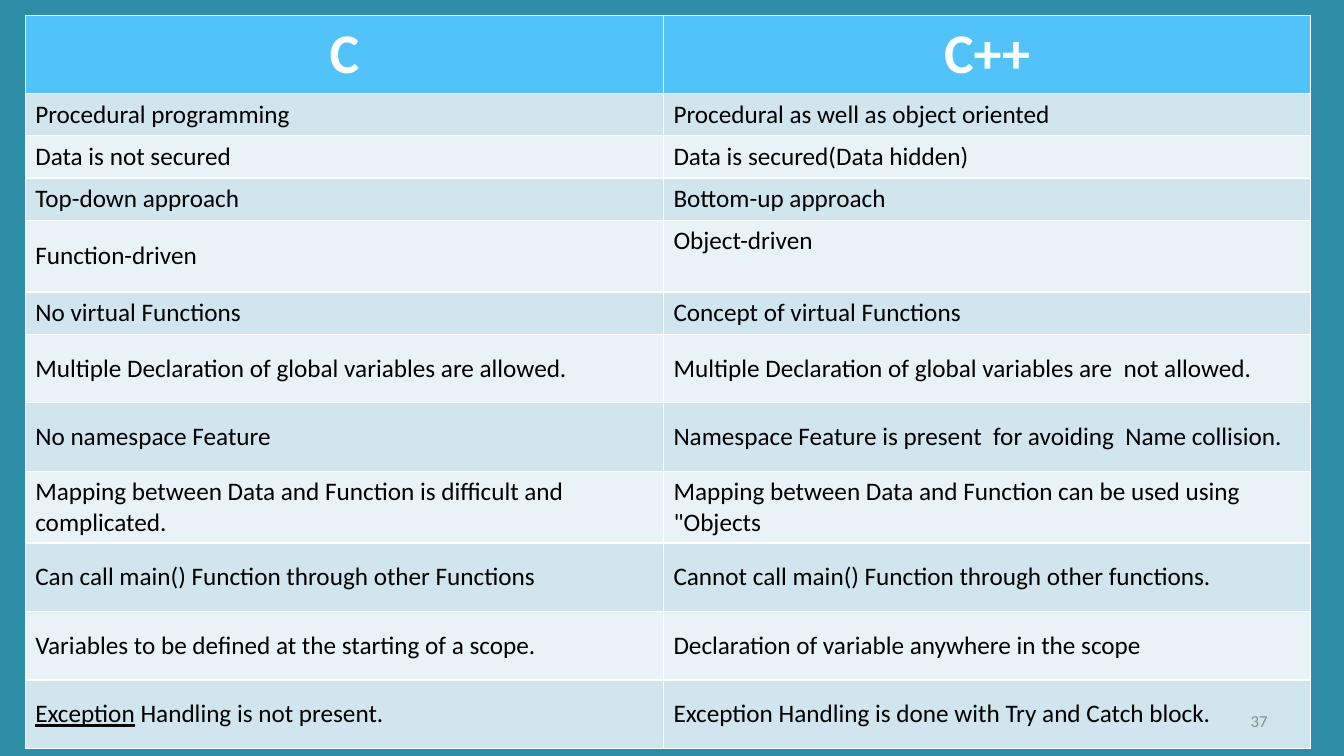
from pptx import Presentation
from pptx.dml.color import RGBColor
from pptx.enum.text import MSO_ANCHOR, PP_ALIGN
from pptx.util import Inches, Pt

CENTER, LEFT, RIGHT = PP_ALIGN.CENTER, PP_ALIGN.LEFT, PP_ALIGN.RIGHT
TOP, MIDDLE = MSO_ANCHOR.TOP, MSO_ANCHOR.MIDDLE

TEAL = RGBColor(0x2E, 0x8E, 0xA8)
SKY = RGBColor(0x51, 0xC3, 0xF9)
BAND_DARK = RGBColor(0xD0, 0xE5, 0xED)
BAND_LIGHT = RGBColor(0xE9, 0xF2, 0xF6)
WHITE = RGBColor(0xFF, 0xFF, 0xFF)
BLACK = RGBColor(0, 0, 0)
GRAY = RGBColor(0x8C, 0x8C, 0x8C)

HEADER_FONT = {"name": "Calibri", "size": Pt(40), "bold": True}
BODY_FONT = {"name": "Calibri", "size": Pt(18), "bold": False}
NUMBER_FONT = {"name": "Calibri", "size": Pt(12)}

HEADER, SHORT, TALL, TWO_LINE = 0.76, 0.42, 0.68, 0.71
COLUMN_WIDTHS = (6.33, 6.42)
UNDERLINED = "Exception"

LANGUAGES = ("C", "C++")
DIFFERENCES = [
    (SHORT, "Procedural programming", "Procedural as well as object oriented"),
    (SHORT, "Data is not secured", "Data is secured(Data hidden)"),
    (SHORT, "Top-down approach", "Bottom-up approach"),
    (TWO_LINE, "Function-driven", "Object-driven"),
    (SHORT, "No virtual Functions", "Concept of virtual Functions"),
    (TALL, "Multiple Declaration of global variables are allowed.",
     "Multiple Declaration of global variables are  not allowed."),
    (TALL, "No namespace Feature",
     "Namespace Feature is present  for avoiding  Name collision."),
    (TWO_LINE, "Mapping between Data and Function is difficult and complicated.",
     'Mapping between Data and Function can be used using "Objects'),
    (TALL, "Can call main() Function through other Functions",
     "Cannot call main() Function through other functions."),
    (TALL, "Variables to be defined at the starting of a scope.",
     "Declaration of variable anywhere in the scope"),
    (TALL, "Exception Handling is not present.",
     "Exception Handling is done with Try and Catch block."),
]


def add_run(paragraph, text, font_format, color):
    run = paragraph.add_run()
    run.text = text
    for key, value in font_format.items():
        setattr(run.font, key, value)
    run.font.color.rgb = color
    return run


def fill_cell(cell, fill, align):
    """Colour and align a cell; return its paragraph."""
    cell.fill.solid()
    cell.fill.fore_color.rgb = fill
    cell.vertical_anchor = MIDDLE
    paragraph = cell.text_frame.paragraphs[0]
    paragraph.alignment = align
    return paragraph


def add_comparison(slide, left, top):
    heights = [HEADER] + [height for height, *_ in DIFFERENCES]
    table = slide.shapes.add_table(
        len(heights), len(COLUMN_WIDTHS), Inches(left), Inches(top),
        Inches(sum(COLUMN_WIDTHS)), Inches(sum(heights))).table
    for column, width in zip(table.columns, COLUMN_WIDTHS):
        column.width = Inches(width)
    for row, height in zip(table.rows, heights):
        row.height = Inches(height)

    for col, language in enumerate(LANGUAGES):
        paragraph = fill_cell(table.cell(0, col), SKY, CENTER)
        add_run(paragraph, language, HEADER_FONT, WHITE)

    for row, (_, *traits) in enumerate(DIFFERENCES, start=1):
        band = BAND_DARK if row % 2 else BAND_LIGHT
        for col, trait in enumerate(traits):
            cell = table.cell(row, col)
            paragraph = fill_cell(cell, band, LEFT)
            if trait == "Object-driven":
                cell.vertical_anchor = TOP
            if col == 0 and trait.startswith(UNDERLINED):
                add_run(paragraph, UNDERLINED, BODY_FONT, BLACK).font.underline = True
                trait = trait[len(UNDERLINED):]
            add_run(paragraph, trait, BODY_FONT, BLACK)


def add_slide_number(slide, left, top, width, height, number):
    frame = slide.shapes.add_textbox(
        Inches(left), Inches(top), Inches(width), Inches(height)).text_frame
    frame.word_wrap = True
    frame.vertical_anchor = MIDDLE
    paragraph = frame.paragraphs[0]
    paragraph.alignment = RIGHT
    add_run(paragraph, number, NUMBER_FONT, GRAY)


def main():
    deck = Presentation()
    deck.slide_width, deck.slide_height = Inches(13.33), Inches(7.5)
    slide = deck.slides.add_slide(deck.slide_layouts[6])
    slide.background.fill.solid()
    slide.background.fill.fore_color.rgb = TEAL
    add_comparison(slide, 0.25, 0.15)
    add_slide_number(slide, 9.56, 6.95, 3.11, 0.4, "37")
    deck.save("out.pptx")


if __name__ == "__main__":
    main()
